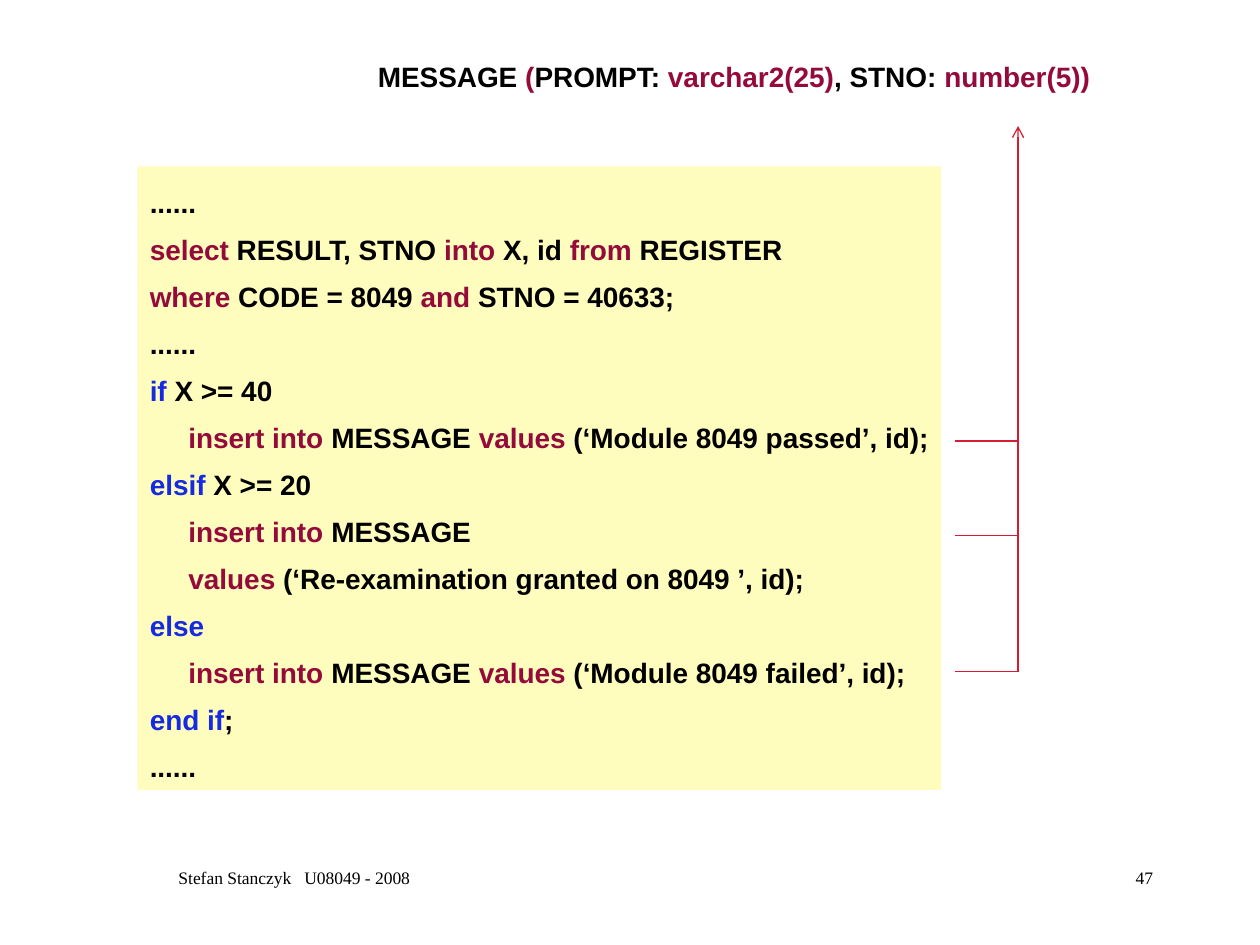
"""Builds the slide that shows PL/SQL branches inserting rows into the MESSAGE table."""
from lxml import etree
from pptx import Presentation
from pptx.dml.color import RGBColor
from pptx.enum import shapes, text
from pptx.oxml import ns
from pptx.util import Inches, Pt

BLACK = RGBColor(0x00, 0x00, 0x00)
CLARET = RGBColor(0x94, 0x0B, 0x3B)
BLUE = RGBColor(0x16, 0x2A, 0xE1)
RED = RGBColor(0xD5, 0x1E, 0x34)
CREAM = RGBColor(0xFF, 0xFD, 0xBD)


def write_code(paragraph, pieces):
    for wording, color in pieces:
        run = paragraph.add_run()
        run.text = wording
        run.font.name = "Arial"
        run.font.size = Pt(16)
        run.font.bold = True
        run.font.color.rgb = color


def draw_line(x1, y1, x2, y2):
    line = slide.shapes.add_connector(
        shapes.MSO_CONNECTOR.STRAIGHT, Inches(x1), Inches(y1), Inches(x2), Inches(y2))
    line.line.color.rgb = RED
    line.line.width = Pt(0.75)
    etree.SubElement(line._element.spPr, ns.qn("a:effectLst"))
    return line


prs = Presentation()
prs.slide_width, prs.slide_height = Inches(10), Inches(7.5)
slide = prs.slides.add_slide(prs.slide_layouts[6])

code_lines = [
    [("......", BLACK)],
    [("select ", CLARET), ("RESULT, STNO ", BLACK), ("into", CLARET),
     (" X, id ", BLACK), ("from ", CLARET), ("REGISTER", BLACK)],
    [("where", CLARET), (" CODE = 8049 ", BLACK), ("and", CLARET), (" STNO = 40633;", BLACK)],
    [("......", BLACK)],
    [("if ", BLUE), ("X >= 40", BLACK)],
    [("     insert into", CLARET), (" MESSAGE ", BLACK), ("values", CLARET),
     (" (‘Module 8049 passed’, id);", BLACK)],
    [("elsif ", BLUE), ("X >= 20", BLACK)],
    [("     insert into", CLARET), (" MESSAGE", BLACK)],
    [("     values", CLARET), (" (‘Re-examination granted on 8049 ’, id);", BLACK)],
    [("else", BLUE)],
    [("     insert into", CLARET), (" MESSAGE ", BLACK), ("values ", CLARET),
     ("(‘Module 8049 failed’, id);", BLACK)],
    [("end if", BLUE), (";", BLACK)],
    [("......", BLACK)],
]
program = slide.shapes.add_shape(
    shapes.MSO_SHAPE.RECTANGLE, Inches(1.09), Inches(1.32), Inches(6.38), Inches(4.95))
program.shadow.inherit = False
program.fill.solid()
program.fill.fore_color.rgb = CREAM
program.line.fill.background()
program_frame = program.text_frame
program_frame.word_wrap = False
program_frame.vertical_anchor = text.MSO_ANCHOR.TOP
for number, pieces in enumerate(code_lines):
    paragraph = program_frame.add_paragraph() if number else program_frame.paragraphs[0]
    paragraph.alignment = text.PP_ALIGN.LEFT
    paragraph.line_spacing = 1.4
    write_code(paragraph, pieces)

table_heading = slide.shapes.add_textbox(Inches(2.9), Inches(0.42), Inches(5.88), Inches(0.37))
table_heading.text_frame.word_wrap = False
write_code(table_heading.text_frame.paragraphs[0], [
    ("MESSAGE ", BLACK), ("(", CLARET), ("PROMPT: ", BLACK),
    ("varchar2(25)", CLARET), (", STNO: ", BLACK), ("number(5))", CLARET)])

for insert_y in (3.5, 4.25, 5.33):
    draw_line(7.58, insert_y, 8.08, insert_y)
to_table = draw_line(8.08, 5.33, 8.08, 1)
etree.SubElement(to_table.line._get_or_add_ln(), ns.qn("a:tailEnd"), type="arrow")

footers = [
    ("Stefan Stanczyk   U08049 - 2008", 0.75, 3.17, text.PP_ALIGN.CENTER),
    ("47", 7.17, 2.08, text.PP_ALIGN.RIGHT),
]
for wording, left, width, alignment in footers:
    footer = slide.shapes.add_textbox(Inches(left), Inches(6.83), Inches(width), Inches(0.5))
    footer.text_frame.word_wrap = True
    footer.text_frame.text = wording
    paragraph = footer.text_frame.paragraphs[0]
    paragraph.alignment = alignment
    font = paragraph.runs[0].font
    font.name = "Times New Roman"
    font.size = Pt(10)
    font.color.rgb = BLACK

prs.save("out.pptx")
